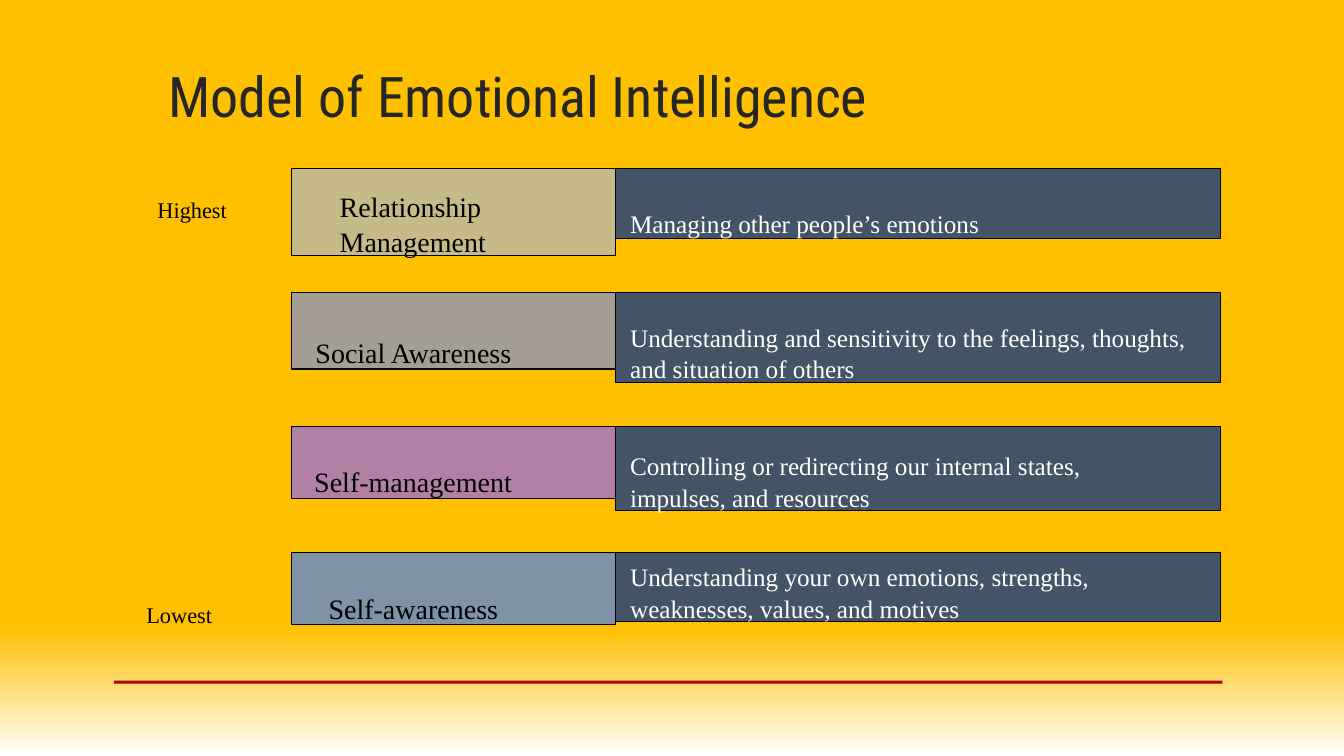
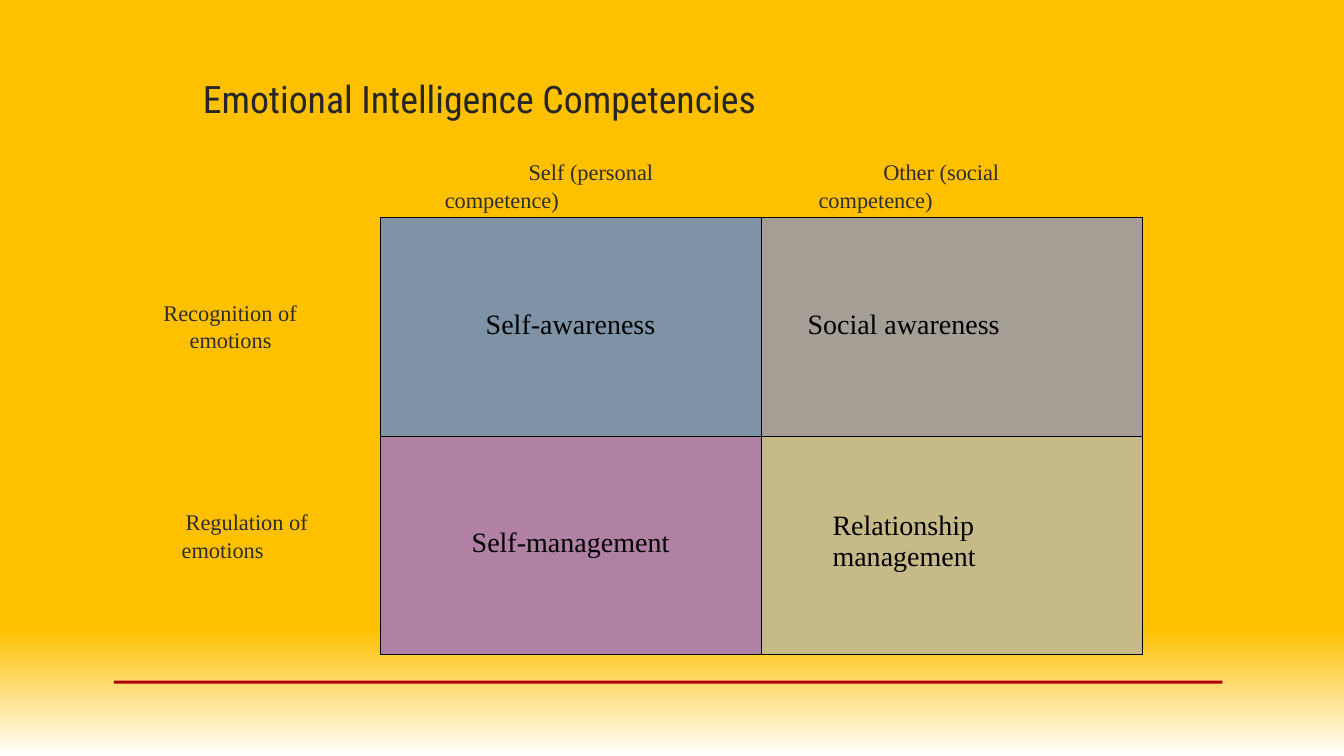
from copy import deepcopy
from dataclasses import dataclass

from lxml import etree
from pptx import Presentation
from pptx.dml.color import RGBColor
from pptx.enum.shapes import MSO_SHAPE
from pptx.enum.text import MSO_ANCHOR, MSO_AUTO_SIZE, PP_ALIGN
from pptx.oxml.ns import qn
from pptx.util import Cm, Pt

RECTANGLE = MSO_SHAPE.RECTANGLE
TOP, MIDDLE = MSO_ANCHOR.TOP, MSO_ANCHOR.MIDDLE
NO_AUTOFIT = MSO_AUTO_SIZE.NONE
LEFT, CENTER = PP_ALIGN.LEFT, PP_ALIGN.CENTER


@dataclass(frozen=True)
class Theme:
    gold: str = "FFC000"
    white: str = "FFFFFF"
    black: str = "000000"
    red: str = "AD0101"
    heading: str = "262626"
    axis: str = "2D2D2D"
    slate: str = "435466"
    relationship: str = "C6BB88"
    social: str = "A49E95"
    management: str = "B080A5"
    awareness: str = "7E93A5"
    title_font: str = "Roboto Condensed"
    body_font: str = "Times New Roman"
    model_title_size: float = 40
    matrix_title_size: float = 27
    name_size: float = 20
    description_size: float = 18
    label_size: float = 16
    outline: float = 0.75
    leading: float = 1.04


THEME = Theme()


@dataclass(frozen=True)
class Area:
    left: float
    top: float
    width: float
    height: float

    def lengths(self) -> tuple:
        return Cm(self.left), Cm(self.top), Cm(self.width), Cm(self.height)


@dataclass(frozen=True)
class Insets:
    left: float = 0
    top: float = 0
    right: float = 0


@dataclass(frozen=True)
class Panel:
    text: str
    fill: str
    height: float
    insets: Insets


@dataclass(frozen=True)
class Level:
    top: float
    name: Panel
    description: Panel


@dataclass(frozen=True)
class Label:
    text: str
    area: Area
    color: str = THEME.axis
    margin: float = 0.03
    indent: float = 0


@dataclass(frozen=True)
class Competency:
    text: str
    fill: str
    insets: Insets
    align: PP_ALIGN = LEFT


def description(text: str, height: float, top: float, right: float = 0) -> Panel:
    return Panel(text, THEME.slate, height, Insets(0.36, top, right))


LEVELS = (
    Level(4.24,
          Panel("Relationship Management", THEME.relationship, 2.21, Insets(1.22, 0.51)),
          description("Managing other people’s emotions", 1.78, 0.99)),
    Level(7.37,
          Panel("Social Awareness", THEME.social, 1.93, Insets(0.61, 1.04)),
          description("Understanding and sensitivity to the feelings, thoughts, "
                      "and situation of others", 2.26, 0.71)),
    Level(10.74,
          Panel("Self-management", THEME.management, 1.83, Insets(0.58, 0.94)),
          description("Controlling or redirecting our internal states, "
                      "impulses, and resources", 2.13, 0.58, 1.52)),
    Level(13.92,
          Panel("Self-awareness", THEME.awareness, 1.83, Insets(0.94, 0.94)),
          description("Understanding your own emotions, strengths, "
                      "weaknesses, values, and motives", 1.75, 0.2, 1.52)),
)
NAME_LEFT, NAME_WIDTH, DESCRIPTION_WIDTH = 7.34, 8.18, 15.24

RANKS = (
    Label("Lowest", Area(3.66, 15.09, 2.31, 0.74), THEME.black),
    Label("Highest", Area(3.94, 4.88, 2.44, 0.74), THEME.black),
)
AXES = (
    Label("Self (personal competence)", Area(11.18, 3.94, 6.93, 1.42), indent=2.11),
    Label("Other (social competence)", Area(20.6, 3.94, 6.12, 1.42), indent=1.63),
    Label("Recognition of emotions", Area(4.09, 7.47, 4.57, 1.42), margin=0.69, indent=-0.66),
    Label("Regulation of emotions", Area(4.55, 12.75, 3.66, 1.42), indent=0.1),
)
MATRIX_AREA = Area(9.58, 5.49, 19.2, 11)
MATRIX = (
    (Competency("Self-awareness", THEME.awareness, Insets(top=2.3), CENTER),
     Competency("Social awareness", THEME.social, Insets(1.17, 2.3))),
    (Competency("Self-management", THEME.management, Insets(top=2.3), CENTER),
     Competency("Relationship management", THEME.relationship, Insets(1.8, 1.88, 2))),
)


def rgb(value: str) -> RGBColor:
    return RGBColor.from_string(value)


def style(paragraph, size: float, color: str, font: str = THEME.body_font,
          align: PP_ALIGN = LEFT) -> None:
    paragraph.alignment = align
    paragraph.font.size = Pt(size)
    paragraph.font.name = font
    paragraph.font.color.rgb = rgb(color)


def set_insets(holder, insets: Insets) -> None:
    holder.margin_left = Cm(insets.left)
    holder.margin_top = Cm(insets.top)
    holder.margin_right = Cm(insets.right)
    holder.margin_bottom = 0


def prepare_frame(frame, insets: Insets, anchor: MSO_ANCHOR = TOP) -> None:
    set_insets(frame, insets)
    frame.word_wrap = True
    frame.auto_size = NO_AUTOFIT
    frame.vertical_anchor = anchor


def set_background(deck) -> None:
    fill = deck.slide_master.background.fill
    fill.gradient()
    fill.gradient_angle = 270
    stops = deck.slide_master.element.find(".//" + qn("a:gsLst"))
    while len(stops) < 4:
        stops.append(deepcopy(stops[-1]))
    positions = (0, 0.74, 0.83, 1)
    colors = (THEME.gold,) * 3 + (THEME.white,)
    for stop, position, color in zip(fill.gradient_stops, positions, colors):
        stop.position = position
        stop.color.rgb = rgb(color)


def add_rectangle(slide, area: Area, fill: str):
    rectangle = slide.shapes.add_shape(RECTANGLE, *area.lengths())
    rectangle.shadow.inherit = False
    rectangle.fill.solid()
    rectangle.fill.fore_color.rgb = rgb(fill)
    return rectangle


def add_base_slide(deck, heading: str, area: Area, size: float):
    slide = deck.slides.add_slide(deck.slide_layouts.get_by_name("Title Only"))
    title = slide.shapes.title
    title.left, title.top, title.width, title.height = area.lengths()
    prepare_frame(title.text_frame, Insets(0.03, 0.03), MIDDLE)
    title.text_frame.text = heading
    style(title.text_frame.paragraphs[0], size, THEME.heading, THEME.title_font)
    footer_rule = add_rectangle(slide, Area(2.87, 17.15, 27.94, 0.08), THEME.red)
    footer_rule.line.fill.background()
    return slide


def add_panel(slide, panel: Panel, left: float, top: float, width: float,
              size: float, color: str) -> None:
    box = add_rectangle(slide, Area(left, top, width, panel.height), panel.fill)
    box.line.color.rgb = rgb(THEME.black)
    box.line.width = Pt(THEME.outline)
    prepare_frame(box.text_frame, panel.insets)
    box.text_frame.text = panel.text
    paragraph = box.text_frame.paragraphs[0]
    style(paragraph, size, color)
    paragraph.line_spacing = THEME.leading


def add_label(slide, label: Label) -> None:
    frame = slide.shapes.add_textbox(*label.area.lengths()).text_frame
    prepare_frame(frame, Insets(top=0.03))
    frame.text = label.text
    paragraph = frame.paragraphs[0]
    style(paragraph, THEME.label_size, label.color)
    paragraph.line_spacing = THEME.leading
    properties = paragraph._p.get_or_add_pPr()
    properties.set("marL", str(Cm(label.margin)))
    properties.set("indent", str(Cm(label.indent)))


def outline_cell(cell) -> None:
    properties = cell._tc.get_or_add_tcPr()
    for position, side in enumerate(("a:lnL", "a:lnR", "a:lnT", "a:lnB")):
        border = etree.Element(qn(side), w=str(Pt(THEME.outline)))
        fill = etree.SubElement(border, qn("a:solidFill"))
        etree.SubElement(fill, qn("a:srgbClr"), val=THEME.black)
        properties.insert(position, border)


def add_matrix(slide) -> None:
    rows, columns = len(MATRIX), len(MATRIX[0])
    table = slide.shapes.add_table(rows, columns, *MATRIX_AREA.lengths()).table
    table.first_row = False
    table.horz_banding = False
    for row, competencies in enumerate(MATRIX):
        for column, competency in enumerate(competencies):
            cell = table.cell(row, column)
            cell.fill.solid()
            cell.fill.fore_color.rgb = rgb(competency.fill)
            set_insets(cell, competency.insets)
            cell.vertical_anchor = TOP
            cell.text = competency.text
            style(cell.text_frame.paragraphs[0], THEME.name_size, THEME.black,
                  align=competency.align)
            outline_cell(cell)


def build_model(deck) -> None:
    slide = add_base_slide(deck, "Model of Emotional Intelligence",
                           Area(4.22, 1.5, 24.43, 1.75), THEME.model_title_size)
    for level in LEVELS:
        add_panel(slide, level.name, NAME_LEFT, level.top, NAME_WIDTH,
                  THEME.name_size, THEME.black)
        add_panel(slide, level.description, NAME_LEFT + NAME_WIDTH, level.top,
                  DESCRIPTION_WIDTH, THEME.description_size, THEME.white)
    for rank in RANKS:
        add_label(slide, rank)


def build_competencies(deck) -> None:
    slide = add_base_slide(deck, "Emotional Intelligence Competencies",
                           Area(5.08, 1.85, 19.63, 1.22), THEME.matrix_title_size)
    add_matrix(slide)
    for axis in AXES:
        add_label(slide, axis)


def main() -> None:
    deck = Presentation()
    deck.slide_width, deck.slide_height = Cm(33.87), Cm(19.05)
    set_background(deck)
    build_model(deck)
    build_competencies(deck)
    deck.save("out.pptx")


if __name__ == "__main__":
    main()
